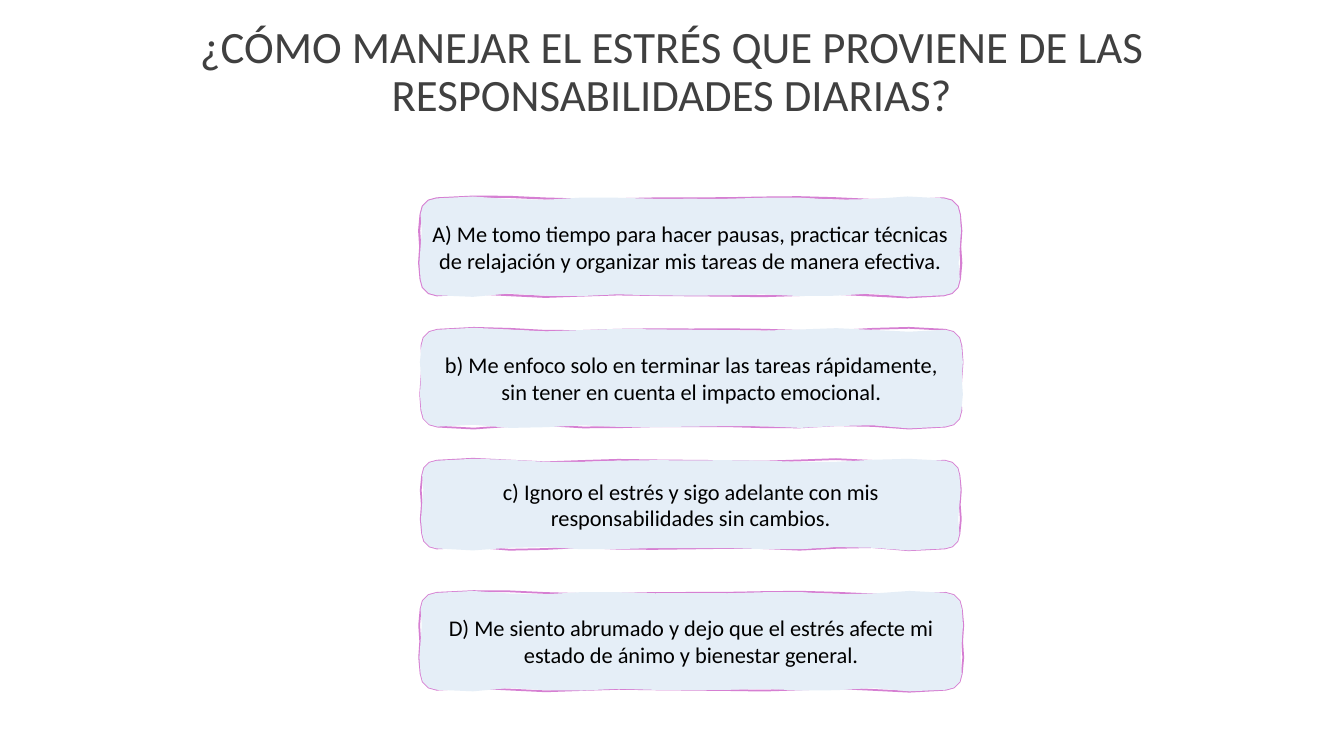
"""Build a slide with a question and four wavy answer cards."""
import copy
import math

import pptx
import pptx.dml.color
import pptx.enum.text
import pptx.oxml.ns
import pptx.util

Cm = pptx.util.Cm
Pt = pptx.util.Pt
COLORS = {"title": "404040", "text": "000000", "fill": "E5EEF7", "line": "D67FD2"}
WAVE = 0.03
ARC = 3


def color(name):
    """Return the named colour."""
    return pptx.dml.color.RGBColor.from_string(COLORS[name])


def outline(left, top, width, height, waves):
    """Return the points of a rounded box with wavy sides."""
    rad = height / 6
    right, low = left + width - rad, top + height - rad
    hubs = [(left + rad, top + rad), (right, top + rad), (right, low), (left + rad, low)]
    points = []
    for side, (x, y) in enumerate(hubs):
        for step in range(ARC + 1):
            turn = math.pi * (1 + side / 2 + step / ARC / 2)
            points.append((x + rad * math.cos(turn), y + rad * math.sin(turn)))
        end_x, end_y = hubs[(side + 1) % 4]
        steps, count = (4, 1 + waves % 2) if side % 2 else (14, waves + side)
        for step in range(1, steps):
            part = step / steps
            bump = math.sin(math.pi * count * part) + 0.7 * math.sin(math.pi * (count + 2) * part)
            reach = rad + WAVE * bump
            points.append((x + (end_x - x) * part + reach * math.cos(turn),
                           y + (end_y - y) * part + reach * math.sin(turn)))
    return [(Cm(x), Cm(y)) for x, y in points]


deck = pptx.Presentation()
deck.slide_width = Cm(33.87)
deck.slide_height = Cm(19.05)
slide = deck.slides.add_slide(deck.slide_layouts[5])

title = slide.shapes.title
title.left, title.top, title.width, title.height = Cm(2.33), Cm(0), Cm(29.21), Cm(3.68)
frame = title.text_frame
frame.text = "¿CÓMO MANEJAR EL ESTRÉS QUE PROVIENE DE LAS RESPONSABILIDADES DIARIAS?"
frame.word_wrap = True
frame.auto_size = pptx.enum.text.MSO_AUTO_SIZE.NONE
frame.vertical_anchor = pptx.enum.text.MSO_ANCHOR.MIDDLE
para = frame.paragraphs[0]
para.alignment = pptx.enum.text.PP_ALIGN.CENTER
para.line_spacing = 0.9
font = para.runs[0].font
font.name, font.size = "Calibri", Pt(32)
font.color.rgb = color("title")

cards = [
    (10.6, 5, 13.59, 2.44, 1.5, "A) Me tomo tiempo para hacer pausas, practicar técnicas de relajación y organizar mis tareas de manera efectiva."),
    (10.62, 8.31, 13.61, 2.44, 1.25, "b) Me enfoco solo en terminar las tareas rápidamente, sin tener en cuenta el impacto emocional."),
    (10.64, 11.61, 13.54, 2.21, 1.25, "c) Ignoro el estrés y sigo adelante con mis responsabilidades sin cambios."),
    (10.6, 14.94, 13.64, 2.44, 1.25, "D) Me siento abrumado y dejo que el estrés afecte mi estado de ánimo y bienestar general."),
]

for index, (left, top, width, height, weight, text) in enumerate(cards):
    edge = outline(left, top, width, height, 4 + index % 3)
    body = outline(left, top, width, height, 7 - index % 3)
    pen = slide.shapes.build_freeform(*edge[0])
    pen.add_line_segments(edge[1:], close=True)
    pen.move_to(*body[0])
    pen.add_line_segments(body[1:], close=True)
    card = pen.convert_to_shape()

    stroke = next(card.element.iter(pptx.oxml.ns.qn("a:path")))
    area = copy.deepcopy(stroke)
    half = len(stroke) // 2
    for node in list(stroke)[half:]:
        stroke.remove(node)
    for node in list(area)[:half]:
        area.remove(node)
    stroke.set("fill", "none")
    area.set("stroke", "0")
    stroke.addnext(area)

    card.shadow.inherit = False
    card.fill.solid()
    card.fill.fore_color.rgb = color("fill")
    card.line.color.rgb = color("line")
    card.line.width = Pt(weight)
    frame = card.text_frame
    frame.text = text
    frame.word_wrap = True
    frame.vertical_anchor = pptx.enum.text.MSO_ANCHOR.MIDDLE
    frame.margin_left = frame.margin_right = Cm(0.28)
    para = frame.paragraphs[0]
    para.alignment = pptx.enum.text.PP_ALIGN.CENTER
    font = para.runs[0].font
    font.name, font.size = "Calibri", Pt(16)
    font.color.rgb = color("text")

deck.save("out.pptx")
